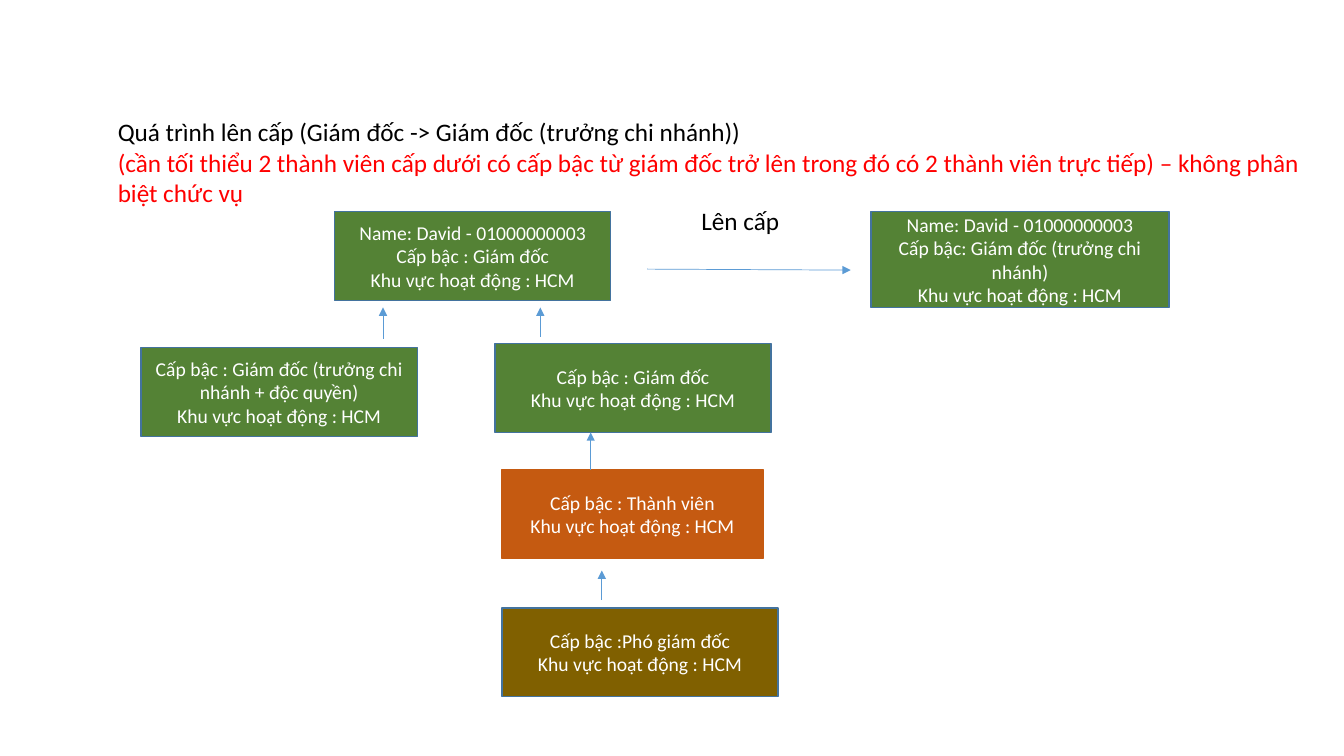
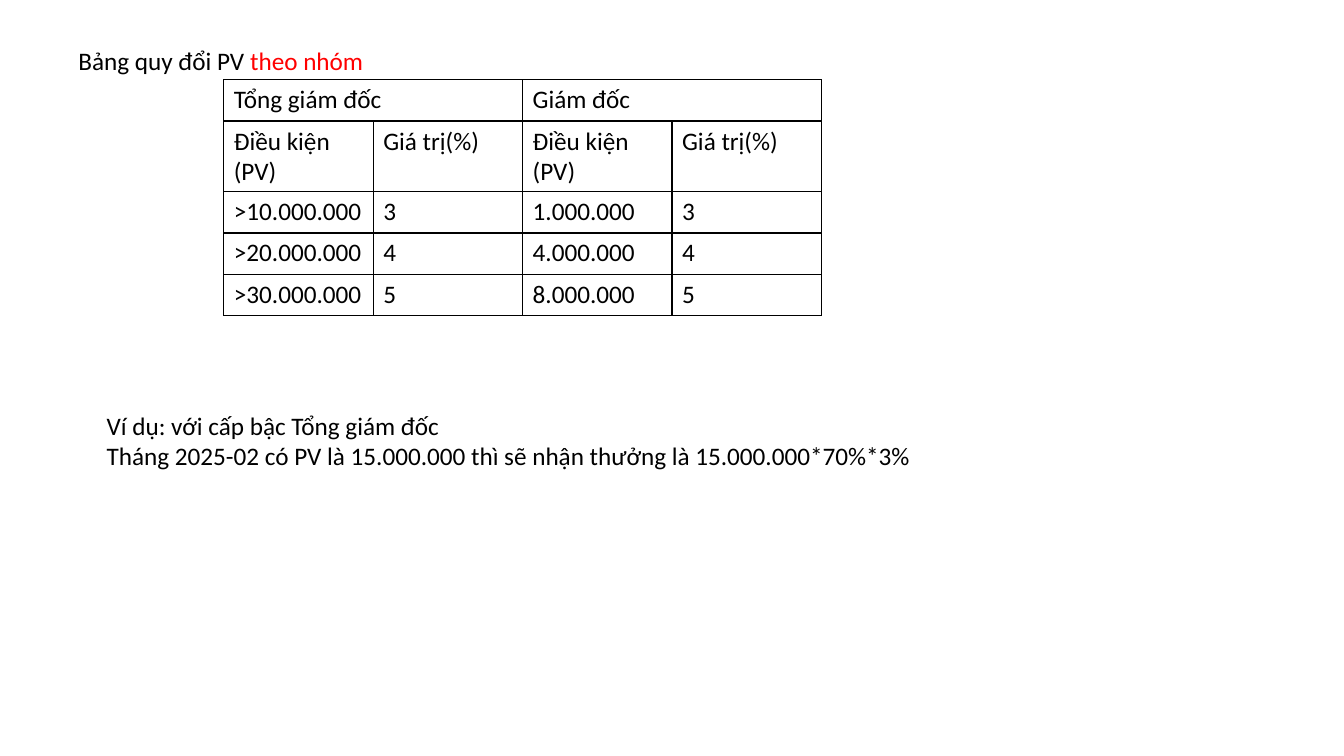
from dataclasses import dataclass

from lxml import etree
from pptx import Presentation
from pptx.dml.color import RGBColor
from pptx.enum.shapes import MSO_CONNECTOR, MSO_SHAPE
from pptx.enum.text import MSO_ANCHOR, PP_ALIGN
from pptx.oxml.ns import qn
from pptx.slide import Slide
from pptx.text.text import TextFrame
from pptx.util import Inches, Pt

RECT = MSO_SHAPE.RECTANGLE
LINE = MSO_CONNECTOR.STRAIGHT
MIDDLE = MSO_ANCHOR.MIDDLE
LEFT, CENTER = PP_ALIGN.LEFT, PP_ALIGN.CENTER

# Shared style
BLACK = RGBColor(0x00, 0x00, 0x00)
WHITE = RGBColor(0xFF, 0xFF, 0xFF)
RED = RGBColor(0xFF, 0x00, 0x00)
GREEN = RGBColor(0x54, 0x82, 0x35)
ORANGE = RGBColor(0xC5, 0x5A, 0x11)
BROWN = RGBColor(0x80, 0x60, 0x00)
EDGE = RGBColor(0x43, 0x73, 0x9E)
BLUE = RGBColor(0x5B, 0x9B, 0xD5)
FONT = "Calibri"
BODY, SMALL = 18, 14
WIDE, HIGH = Inches(13.333), Inches(7.5)


@dataclass(frozen=True)
class Run:
    text: str
    color: RGBColor = BLACK


# All places and sizes are percent of the slide's width and height
@dataclass(frozen=True)
class Note:
    x: float
    y: float
    w: float
    h: float
    lines: tuple[tuple[Run, ...], ...]
    wrap: bool = True


@dataclass(frozen=True)
class Card:
    x: float
    y: float
    lines: tuple[str, ...]
    fill: RGBColor = GREEN
    edge: RGBColor = EDGE
    w: float = 20.55
    h: float = 11.73


@dataclass(frozen=True)
class Arrow:
    x1: float
    y1: float
    x2: float
    y2: float


# Slide 1: promotion steps
AREA = "Khu vực hoạt động : HCM"
NAME = "Name: David - 01000000003"
STEPS = (
    Note(8.03, 14.8, 90.6, 13.47, (
        (Run("Quá trình lên cấp (Giám đốc -> Giám đốc (trưởng chi nhánh))"),),
        (Run("(cần tối thiểu 2 thành viên cấp dưới có cấp bậc từ giám đốc "
             "trở lên trong đó có 2 thành viên trực tiếp) – không phân", RED),),
        (Run("biệt chức vụ", RED),),
    ), wrap=False),
    Note(51.45, 26.53, 7.43, 5.33, ((Run("Lên cấp"),),), wrap=False),
)
CARDS = (
    Card(24.9, 28, (NAME, "Cấp bậc : Giám đốc", AREA)),
    Card(36.83, 45.47, ("Cấp bậc : Giám đốc", AREA)),
    Card(10.5, 46, ("Cấp bậc : Giám đốc (trưởng chi nhánh + độc quyền)", AREA)),
    Card(64.8, 28, (NAME, "Cấp bậc: Giám đốc (trưởng chi nhánh)", AREA),
         w=22.2, h=12.67),
    Card(37.35, 80.4, ("Cấp bậc :Phó giám đốc", AREA), BROWN),
    Card(37.35, 62.13, ("Cấp bậc : Thành viên", AREA), ORANGE, ORANGE, w=19.43),
)
ARROWS = (
    Arrow(48.15, 35.6, 63.3, 35.73),
    Arrow(28.5, 44.8, 28.5, 40.67),
    Arrow(40.2, 44.53, 40.2, 40.67),
    Arrow(43.95, 62.13, 43.95, 57.2),
    Arrow(44.78, 79.33, 44.78, 75.47),
)

# Slide 2: conversion table
TITLE = Note(5.1, 5.33, 89.93, 9.47,
             ((Run("Bảng quy đổi PV "), Run("theo nhóm", RED)),))
SAMPLE = Note(7.2, 53.6, 80.4, 9.47, (
    (Run("Ví dụ: với cấp bậc Tổng giám đốc"),),
    (Run("Tháng 2025-02 có PV là 15.000.000 thì sẽ nhận thưởng là "
         "15.000.000*70%*3%"),),
))
GROUPS = ("Tổng giám đốc", "Giám đốc")
ROWS = (
    ("Điều kiện (PV)", "Giá trị(%)") * 2,
    (">10.000.000", "3", "1.000.000", "3"),
    (">20.000.000", "4", "4.000.000", "4"),
    (">30.000.000", "5", "8.000.000", "5"),
)
GRID_X, GRID_Y, COL = 16.65, 10.53, 11.12
TALL = (5.47, 9.25, 5.47, 5.47, 5.47)


def across(share: float) -> int:
    return round(WIDE * share / 100)


def down(share: float) -> int:
    return round(HIGH * share / 100)


def style(frame: TextFrame, size: int, color: RGBColor, align: PP_ALIGN) -> None:
    for para in frame.paragraphs:
        para.alignment = align
        for run in para.runs:
            run.font.name = FONT
            run.font.size = Pt(size)
            run.font.color.rgb = color


def add_note(slide: Slide, note: Note) -> None:
    box = slide.shapes.add_textbox(across(note.x), down(note.y),
                                   across(note.w), down(note.h))
    frame = box.text_frame
    frame.word_wrap = note.wrap
    for i, line in enumerate(note.lines):
        para = frame.add_paragraph() if i else frame.paragraphs[0]
        for part in line:
            para.add_run().text = part.text
    style(frame, BODY, BLACK, LEFT)
    for para, line in zip(frame.paragraphs, note.lines):
        for run, part in zip(para.runs, line):
            run.font.color.rgb = part.color


def add_card(slide: Slide, card: Card) -> None:
    box = slide.shapes.add_shape(RECT, across(card.x), down(card.y),
                                 across(card.w), down(card.h))
    box.shadow.inherit = False
    box.fill.solid()
    box.fill.fore_color.rgb = card.fill
    box.line.color.rgb = card.edge
    box.line.width = Pt(1)
    frame = box.text_frame
    frame.word_wrap = True
    frame.vertical_anchor = MIDDLE
    frame.text = "\n".join(card.lines)
    style(frame, SMALL, WHITE, CENTER)


def add_arrow(slide: Slide, arrow: Arrow) -> None:
    link = slide.shapes.add_connector(LINE, across(arrow.x1), down(arrow.y1),
                                      across(arrow.x2), down(arrow.y2))
    link.line.color.rgb = BLUE
    link.line.width = Pt(0.5)
    etree.SubElement(link.line._get_or_add_ln(), qn("a:tailEnd"), type="triangle")
    etree.SubElement(link._element.spPr, qn("a:effectLst"))


def add_edges(cell) -> None:
    """Put a black border on each side, ahead of the cell's fill."""
    props = cell._tc.get_or_add_tcPr()
    for i, side in enumerate(("lnL", "lnR", "lnT", "lnB")):
        edge = etree.Element(qn(f"a:{side}"), w=str(Pt(1)))
        fill = etree.SubElement(edge, qn("a:solidFill"))
        etree.SubElement(fill, qn("a:srgbClr"), val=str(BLACK))
        props.insert(i, edge)


def add_grid(slide: Slide) -> None:
    cols = len(ROWS[0])
    table = slide.shapes.add_table(
        len(TALL), cols, across(GRID_X), down(GRID_Y),
        across(COL * cols), down(sum(TALL))).table
    table.first_row = table.horz_banding = False
    for col in table.columns:
        col.width = across(COL)
    for row, tall in zip(table.rows, TALL):
        row.height = down(tall)
    for i, group in enumerate(GROUPS):
        head = table.cell(0, 2 * i)
        head.merge(table.cell(0, 2 * i + 1))
        head.text = group
    for r, row in enumerate(ROWS, 1):
        for c, text in enumerate(row):
            table.cell(r, c).text = text
    for cell in table.iter_cells():
        cell.fill.background()
        add_edges(cell)
        style(cell.text_frame, BODY, BLACK, LEFT)


def main() -> None:
    deck = Presentation()
    deck.slide_width, deck.slide_height = WIDE, HIGH
    blank = deck.slide_layouts[6]

    steps = deck.slides.add_slide(blank)
    for note in STEPS:
        add_note(steps, note)
    for card in CARDS:
        add_card(steps, card)
    for arrow in ARROWS:
        add_arrow(steps, arrow)

    rates = deck.slides.add_slide(blank)
    add_note(rates, TITLE)
    add_grid(rates)
    add_note(rates, SAMPLE)

    deck.save("out.pptx")


if __name__ == "__main__":
    main()
